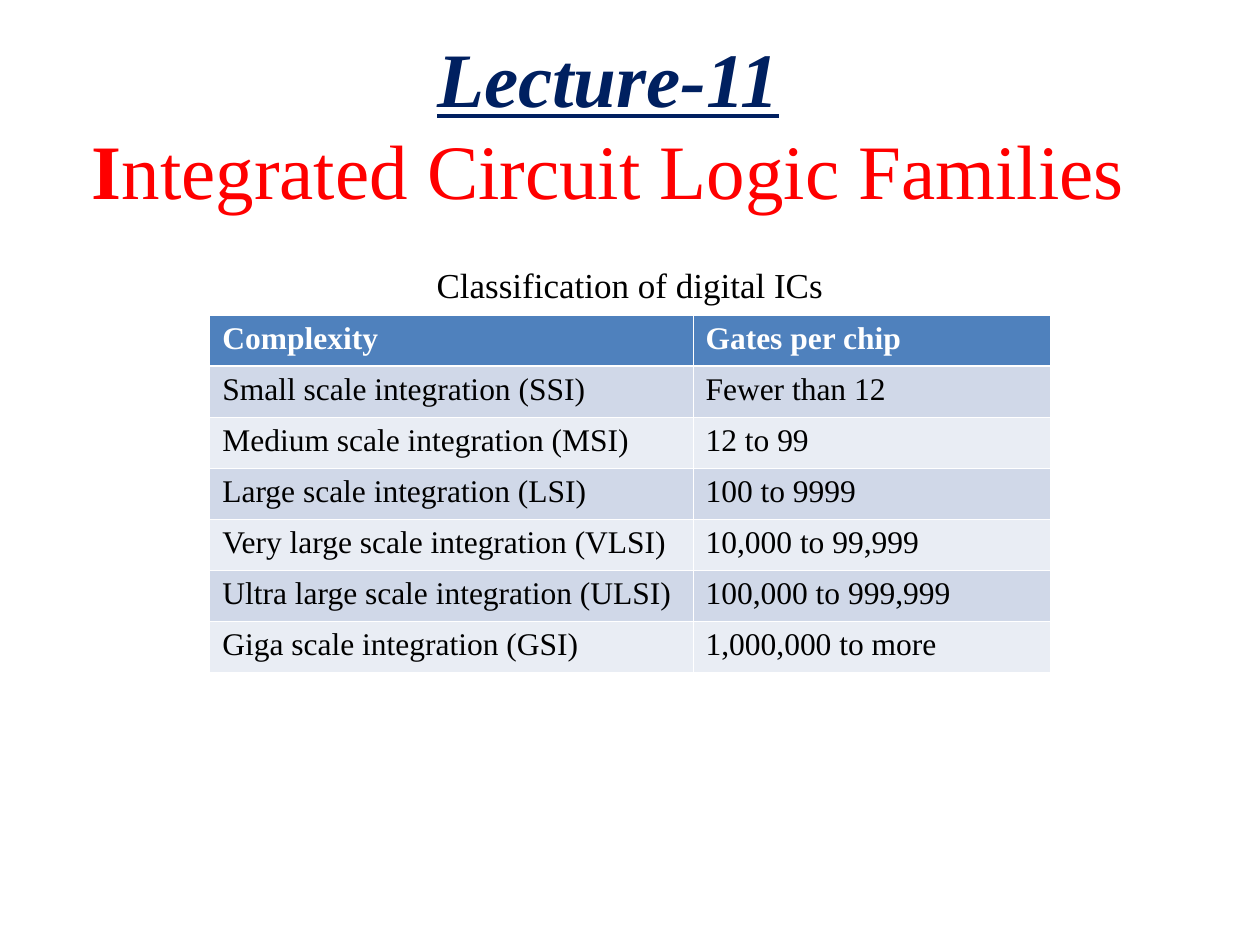
from lxml.etree import SubElement
from pptx import Presentation
from pptx.dml.color import RGBColor
from pptx.enum.text import MSO_ANCHOR, MSO_AUTO_SIZE, PP_ALIGN
from pptx.oxml.ns import qn
from pptx.util import Cm, Pt

# Content
LECTURE = "Lecture-11"
TOPIC_INITIAL, TOPIC_REST = "I", "ntegrated Circuit Logic Families"
CAPTION = "Classification of digital ICs"
IC_CLASSES = [
    ("Complexity", "Gates per chip"),
    ("Small scale integration (SSI)", "Fewer than 12"),
    ("Medium scale integration (MSI)", "12 to 99"),
    ("Large scale integration (LSI)", "100 to 9999"),
    ("Very large scale integration (VLSI)", "10,000 to 99,999"),
    ("Ultra large scale integration (ULSI)", "100,000 to 999,999"),
    ("Giga scale integration (GSI)", "1,000,000 to more"),
]

THEME = {
    "font": "Times New Roman",
    "navy": "002060", "red": "FF0000", "black": "000000", "white": "FFFFFF",
    "header": "4F81BD", "bands": ("D0D8E8", "E9EDF4"),
    "title": Pt(44), "caption": Pt(20), "cell": Pt(18),
    "thin": Pt(0.45), "thick": Pt(1.47),
}

# Layout: left, top, width, height
TITLE_BOX = (1.47, 0.43, 21.59, 4.09)
CAPTION_BOX = (3.81, 5.18, 17.78, 10.59)
TABLE_LEFT, TABLE_TOP, ROW_HEIGHT = 4.23, 6.35, 1.03
COLUMN_WIDTHS = (9.74, 7.2)


def add_text(paragraph, text, size, color, **style):
    run = paragraph.add_run()
    run.text = text
    formats = {"name": THEME["font"], "size": size, "bold": False, **style}
    for attribute, value in formats.items():
        setattr(run.font, attribute, value)
    run.font.color.rgb = RGBColor.from_string(THEME[color])


def place(box, position):
    for side, length in zip(("left", "top", "width", "height"), position):
        setattr(box, side, Cm(length))


def add_borders(cell, widths):
    properties = cell._tc.get_or_add_tcPr()
    for index, (side, width) in enumerate(widths.items()):
        line = properties.makeelement(qn(f"a:{side}"), {"w": str(int(width))})
        fill = SubElement(line, qn("a:solidFill"))
        SubElement(fill, qn("a:srgbClr"), val=THEME["white"])
        properties.insert(index, line)


def add_title(slide):
    title = slide.shapes.title
    place(title, TITLE_BOX)
    frame = title.text_frame
    frame.auto_size = MSO_AUTO_SIZE.NONE
    frame.vertical_anchor = MSO_ANCHOR.MIDDLE
    heading = frame.paragraphs[0]
    heading.alignment = PP_ALIGN.CENTER
    add_text(heading, LECTURE, THEME["title"], "navy",
             bold=True, italic=True, underline=True)
    heading.add_line_break()
    add_text(heading, TOPIC_INITIAL, THEME["title"], "red", bold=True)
    add_text(heading, TOPIC_REST, THEME["title"], "red")


def add_caption(slide):
    caption = slide.shapes.add_textbox(*map(Cm, CAPTION_BOX))
    caption.text_frame.word_wrap = True
    line = caption.text_frame.paragraphs[0]
    line.alignment = PP_ALIGN.CENTER
    add_text(line, CAPTION, THEME["caption"], "black")


def add_ic_table(slide):
    count = len(IC_CLASSES)
    table = slide.shapes.add_table(
        count, len(COLUMN_WIDTHS), Cm(TABLE_LEFT), Cm(TABLE_TOP),
        Cm(sum(COLUMN_WIDTHS)), Cm(ROW_HEIGHT * count)).table
    for column, width in zip(table.columns, COLUMN_WIDTHS):
        column.width = Cm(width)
    for row, entries in enumerate(IC_CLASSES):
        table.rows[row].height = Cm(ROW_HEIGHT)
        is_header = row == 0
        shade = THEME["header"] if is_header else THEME["bands"][(row - 1) % 2]
        # A thicker rule separates the header from the first class
        borders = dict.fromkeys(("lnL", "lnR", "lnT", "lnB"), THEME["thin"])
        if row < 2:
            borders["lnB" if is_header else "lnT"] = THEME["thick"]
        for cell, entry in zip(table.rows[row].cells, entries):
            cell.fill.solid()
            cell.fill.fore_color.rgb = RGBColor.from_string(shade)
            add_borders(cell, borders)
            add_text(cell.text_frame.paragraphs[0], entry, THEME["cell"],
                     "white" if is_header else "black", bold=is_header)


def main():
    deck = Presentation()
    deck.slide_width, deck.slide_height = Cm(25.4), Cm(19.05)
    slide = deck.slides.add_slide(deck.slide_layouts[5])
    add_title(slide)
    add_caption(slide)
    add_ic_table(slide)
    deck.save("out.pptx")


if __name__ == "__main__":
    main()
